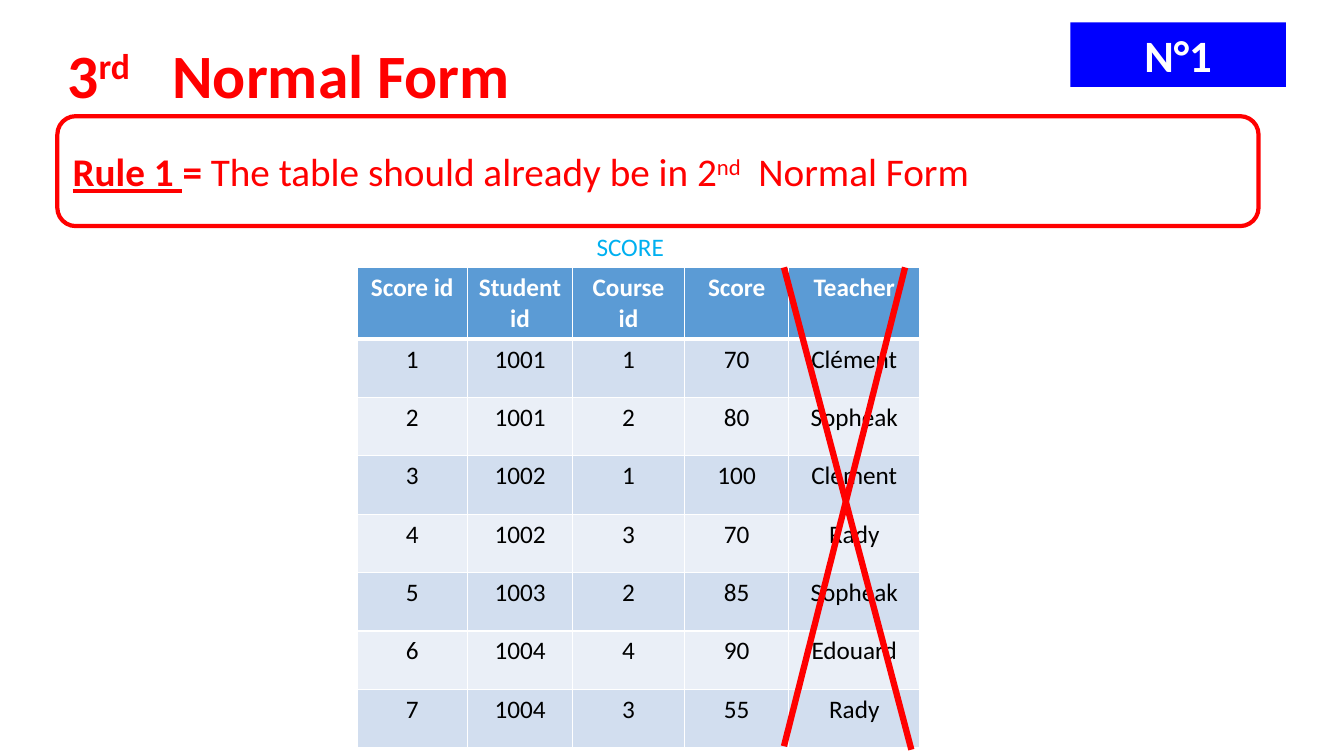
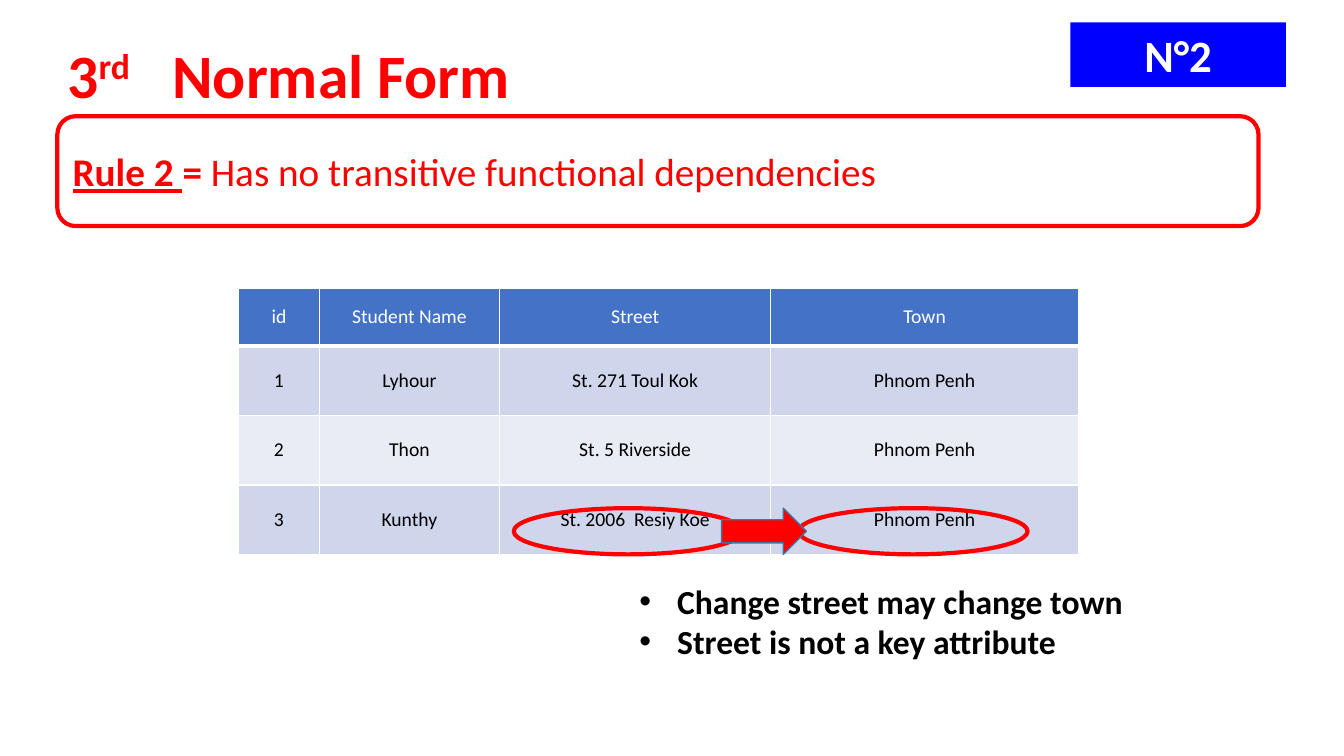
import lxml.etree
import pptx
import pptx.dml.color
import pptx.enum.shapes
import pptx.enum.text
import pptx.oxml.ns
import pptx.util

Pt = pptx.util.Pt
RGBColor = pptx.dml.color.RGBColor
Shape = pptx.enum.shapes.MSO_SHAPE
Align = pptx.enum.text.PP_ALIGN
Anchor = pptx.enum.text.MSO_ANCHOR
qn = pptx.oxml.ns.qn

RED = RGBColor(0xFF, 0x00, 0x00)
BLUE = RGBColor(0x00, 0x00, 0xFF)
SKY = RGBColor(0x00, 0xB0, 0xF0)
ARROW_EDGE = RGBColor(0x43, 0x73, 0x9E)
BLACK = RGBColor(0x00, 0x00, 0x00)
WHITE = RGBColor(0xFF, 0xFF, 0xFF)
# Header, odd row and even row fills
SCORE_FILLS = (RGBColor(0x5B, 0x9B, 0xD5), RGBColor(0xD2, 0xDE, 0xEF), RGBColor(0xEA, 0xEF, 0xF7))
STUDENT_FILLS = (RGBColor(0x44, 0x72, 0xC4), RGBColor(0xCF, 0xD5, 0xEA), RGBColor(0xE9, 0xEB, 0xF5))

FONT = "Calibri"
TITLE_ONLY = 5
TITLE_AND_BODY = 1


def write(para, text, size=18, color=BLACK, bold=False, underline=False, raised=False):
    span = para.add_run()
    span.text = text
    span.font.name = FONT
    span.font.size = Pt(size)
    span.font.color.rgb = color
    span.font.bold = bold
    span.font.underline = underline
    if raised:
        span.font._element.set("baseline", "30000")


def border(cell, side, width):
    line = lxml.etree.SubElement(cell._tc.get_or_add_tcPr(), qn(f"a:ln{side}"), w=str(Pt(width)))
    fill = lxml.etree.SubElement(line, qn("a:solidFill"))
    lxml.etree.SubElement(fill, qn("a:srgbClr"), val=str(WHITE))


class Lesson:
    """Holds the deck's style and the slide being built; lengths are points."""

    def __init__(self):
        self.deck = pptx.Presentation()
        self.deck.slide_width = Pt(960)
        self.deck.slide_height = Pt(540)
        self.slide = None

    def start(self, layout, number, rule):
        """Open a slide with its title, its number and its rule, given as text and raised pairs."""
        self.slide = self.deck.slides.add_slide(self.deck.slide_layouts[layout])
        self.title()
        self.rule(number, rule)
        self.badge(number)

    def place(self, shape, left, top, width, height):
        shape.left, shape.top = Pt(left), Pt(top)
        shape.width, shape.height = Pt(width), Pt(height)
        frame = shape.text_frame
        frame.auto_size = pptx.enum.text.MSO_AUTO_SIZE.NONE
        frame.vertical_anchor = Anchor.TOP
        frame.word_wrap = True
        return frame

    def title(self):
        frame = self.place(self.slide.shapes.title, 41, 22.5, 360, 60.5)
        para = frame.paragraphs[0]
        para.alignment = Align.LEFT
        tabs = lxml.etree.SubElement(para._p.get_or_add_pPr(), qn("a:tabLst"))
        lxml.etree.SubElement(tabs, qn("a:tab"), pos=str(Pt(75)), algn="l")
        for text, raised in (("3", False), ("rd", True), ("\tNormal Form", False)):
            write(para, text, size=44, color=RED, bold=True, raised=raised)

    def shape(self, kind, left, top, width, height, fill=None, line=None, weight=3):
        shape = self.slide.shapes.add_shape(kind, Pt(left), Pt(top), Pt(width), Pt(height))
        shape.shadow.inherit = False
        if fill is None:
            shape.fill.background()
        else:
            shape.fill.solid()
            shape.fill.fore_color.rgb = fill
        if line is None:
            shape.line.fill.background()
        else:
            shape.line.color.rgb = line
            shape.line.width = Pt(weight)
        return shape

    def rule(self, number, rule):
        box = self.shape(Shape.ROUNDED_RECTANGLE, 41, 83, 858, 78.5, line=RED)
        para = box.text_frame.paragraphs[0]
        para.alignment = Align.LEFT
        write(para, f"Rule {number} ", size=28, color=RED, bold=True, underline=True)
        write(para, "= ", size=28, color=RED, bold=True)
        for text, raised in rule:
            write(para, text, size=28, color=RED, raised=raised)

    def badge(self, number):
        box = self.shape(Shape.RECTANGLE, 764.5, 16, 154, 46, fill=BLUE)
        para = box.text_frame.paragraphs[0]
        para.alignment = Align.CENTER
        write(para, f"N°{number}", size=32, color=WHITE, bold=True)

    def table(self, rows, left, top, widths, heights, fills, size, anchor, bold_header=False):
        """Draw a banded table; heights are those of the header and of a body row."""
        row_heights = [heights[0]] + [heights[1]] * (len(rows) - 1)
        table = self.slide.shapes.add_table(
            len(rows), len(widths), Pt(left), Pt(top), Pt(sum(widths)), Pt(sum(row_heights))
        ).table
        for column, width in zip(table.columns, widths):
            column.width = Pt(width)
        for index, (values, height) in enumerate(zip(rows, row_heights)):
            table.rows[index].height = Pt(height)
            header = index == 0
            fill = fills[0] if header else fills[2 - index % 2]
            for cell, value in zip(table.rows[index].cells, values):
                for side in "LRT":
                    border(cell, side, 3 if side == "T" and index == 1 else 1)
                border(cell, "B", 3 if header else 1)
                cell.fill.solid()
                cell.fill.fore_color.rgb = fill
                cell.vertical_anchor = anchor
                para = cell.text_frame.paragraphs[0]
                para.alignment = Align.CENTER
                write(para, value, size=size, color=WHITE if header else BLACK,
                      bold=header and bold_header)

    def label(self, text, left, top, width, height, **style):
        box = self.slide.shapes.add_textbox(Pt(left), Pt(top), Pt(width), Pt(height))
        box.text_frame.word_wrap = True
        write(box.text_frame.paragraphs[0], text, **style)

    def stroke(self, start, end):
        line = self.slide.shapes.add_connector(
            pptx.enum.shapes.MSO_CONNECTOR.STRAIGHT, *(Pt(value) for value in (*start, *end))
        )
        line.line.color.rgb = RED
        line.line.width = Pt(4.5)
        lxml.etree.SubElement(line._element.spPr, qn("a:effectLst"))

    def bullets(self, items, left, top, width, height):
        frame = self.place(self.slide.placeholders[1], left, top, width, height)
        for index, item in enumerate(items):
            para = frame.add_paragraph() if index else frame.paragraphs[0]
            para.space_before = Pt(0)
            properties = para._p.get_or_add_pPr()
            properties.set("marL", str(Pt(27)))
            properties.set("indent", str(-Pt(27)))
            write(para, item, size=24, bold=True)


def score_slide(lesson):
    lesson.start(TITLE_ONLY, 1, [("The table should already be in 2", False),
                                 ("nd", True), ("  Normal Form", False)])
    scores = [
        ("Score id", "Student id", "Course id", "Score", "Teacher"),
        ("1", "1001", "1", "70", "Clément"),
        ("2", "1001", "2", "80", "Sopheak"),
        ("3", "1002", "1", "100", "Clément"),
        ("4", "1002", "3", "70", "Rady"),
        ("5", "1003", "2", "85", "Sopheak"),
        ("6", "1004", "4", "90", "Edouard"),
        ("7", "1004", "3", "55", "Rady"),
    ]
    lesson.table(scores, 255, 191, (79, 75, 80, 74.5, 93.5), (46, 41.7), SCORE_FILLS,
                 size=18, anchor=Anchor.TOP, bold_header=True)
    lesson.label("SCORE", 419, 161.5, 74, 29, color=SKY)
    lesson.stroke((560, 533), (646.5, 191))
    lesson.stroke((651, 535.5), (560, 191))


def student_slide(lesson):
    lesson.start(TITLE_AND_BODY, 2, [("Has no transitive functional dependencies", False)])
    students = [
        ("id", "Student Name", "Street", "Town"),
        ("1", "Lyhour", "St. 271 Toul Kok", "Phnom Penh"),
        ("2", "Thon", "St. 5 Riverside", "Phnom Penh"),
        ("3", "Kunthy", "St. 2006  Resiy Koe", "Phnom Penh"),
    ]
    lesson.table(students, 170.5, 206, (57.5, 129, 193.5, 220), (41, 49.7), STUDENT_FILLS,
                 size=14, anchor=Anchor.MIDDLE)
    for left in (367, 570.5):
        lesson.shape(Shape.OVAL, left, 363, 163.5, 33, line=RED)
    lesson.shape(Shape.RIGHT_ARROW, 515.5, 363, 60.5, 33, fill=RED, line=ARROW_EDGE, weight=1)
    lesson.bullets(("Change street may change town", "Street is not a key attribute"),
                   449.5, 411, 366, 65.5)


def main():
    lesson = Lesson()
    score_slide(lesson)
    student_slide(lesson)
    lesson.deck.save("out.pptx")


if __name__ == "__main__":
    main()
